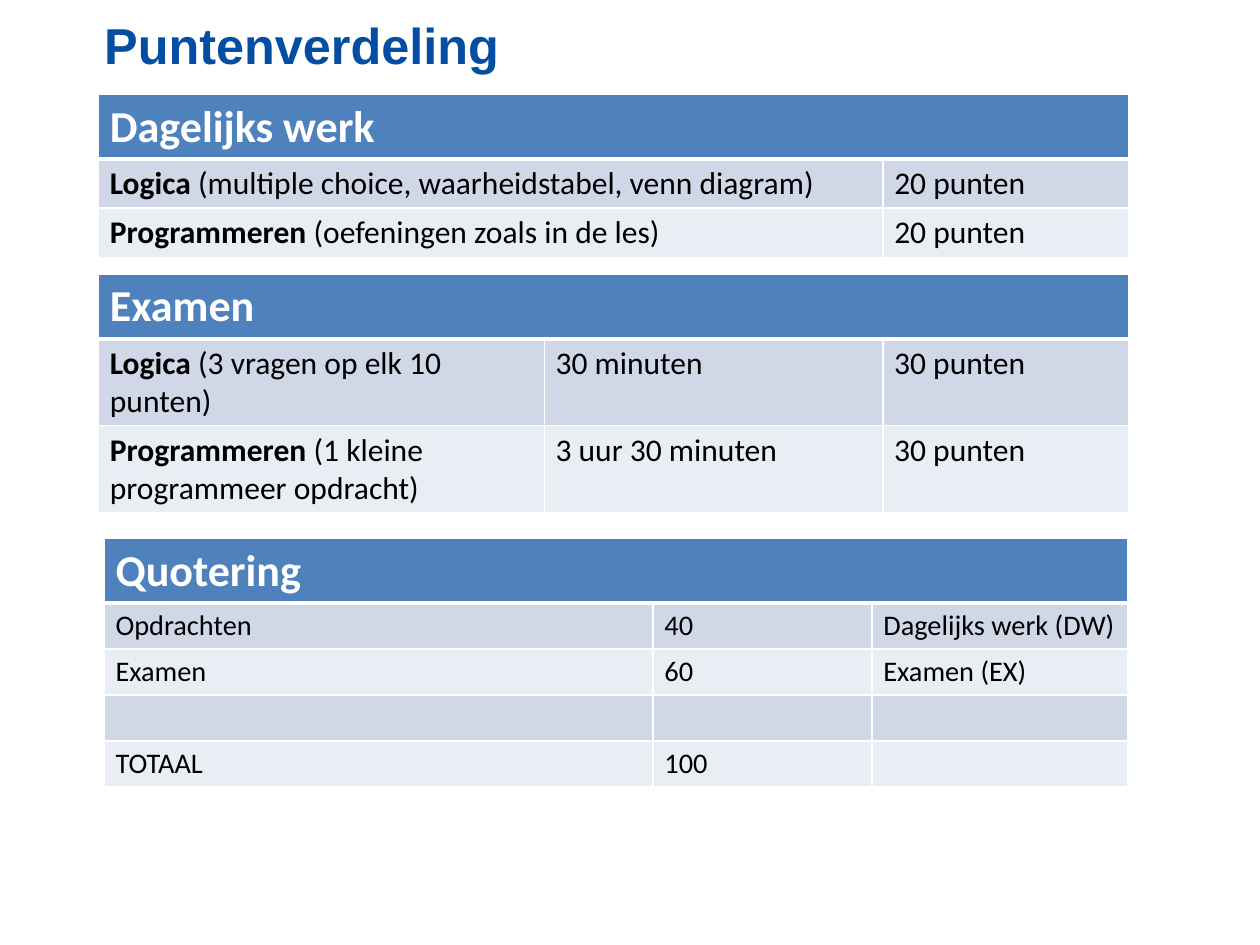
from dataclasses import dataclass

from lxml.etree import SubElement
from pptx import Presentation
from pptx.dml.color import RGBColor as Color
from pptx.oxml import parse_xml
from pptx.oxml.ns import nsdecls, qn
from pptx.util import Pt


@dataclass(frozen=True)
class Theme:
    """Colours, fonts and type sizes of the slide."""
    title: str = "034EA2"
    header: str = "4F81BD"
    bands: tuple = ("D0D8E8", "E9EDF4")
    light: str = "FFFFFF"
    dark: str = "000000"
    title_font: str = "Arial"
    table_font: str = "Calibri"
    title_size: float = 32
    header_size: float = 28
    exam_size: float = 20
    score_size: float = 18
    row_height: float = 29.2
    thin: float = 1
    thick: float = 3


THEME = Theme()


def add_span(para, text, font, size, color, bold=False):
    """Add one styled run to a paragraph."""
    span = para.add_run()
    span.text = text
    span.font.name = font
    span.font.size = Pt(size)
    span.font.color.rgb = Color.from_string(color)
    span.font.bold = bold


def add_title(page, text, left, top, width, height):
    """Place the slide title in the given box."""
    box = page.shapes.add_textbox(Pt(left), Pt(top), Pt(width), Pt(height))
    frame = box.text_frame
    frame.word_wrap = True
    frame.margin_left = frame.margin_right = frame.margin_bottom = 0
    frame.margin_top = Pt(3)
    add_span(frame.paragraphs[0], text, THEME.title_font,
             THEME.title_size, THEME.title, bold=True)


def style_cell(cell, row):
    """Set the fill and the white borders of a cell in the given row."""
    fill = THEME.header if row == 0 else THEME.bands[(row - 1) % 2]
    cell.fill.solid()
    cell.fill.fore_color.rgb = Color.from_string(fill)
    widths = {"lnL": THEME.thin, "lnR": THEME.thin,
              "lnT": THEME.thick if row == 1 else THEME.thin,
              "lnB": THEME.thick if row == 0 else THEME.thin}
    props = cell._tc.get_or_add_tcPr()
    for place, (side, width) in enumerate(widths.items()):
        line = parse_xml(f'<a:{side} {nsdecls("a")} w="{Pt(width)}"/>')
        solid = SubElement(line, qn("a:solidFill"))
        SubElement(solid, qn("a:srgbClr"), val=THEME.light)
        props.insert(place, line)


def add_score_table(page, heading, rows, left, top, widths, size):
    """Place a table with a merged heading; a (bold, plain) pair makes two runs."""
    count = len(rows) + 1
    table = page.shapes.add_table(
        count, len(widths), Pt(left), Pt(top),
        Pt(sum(widths)), Pt(count * THEME.row_height)).table
    for column, width in zip(table.columns, widths):
        column.width = Pt(width)
    for index, row in enumerate(table.rows):
        row.height = Pt(THEME.row_height)
        for cell in row.cells:
            style_cell(cell, index)
    first = table.cell(0, 0)
    first.merge(table.cell(0, len(widths) - 1))
    add_span(first.text_frame.paragraphs[0], heading, THEME.table_font,
             THEME.header_size, THEME.light, bold=True)
    for index, values in enumerate(rows, start=1):
        for column, value in enumerate(values):
            para = table.cell(index, column).text_frame.paragraphs[0]
            para.font.size = Pt(size)
            strong, plain = value if isinstance(value, tuple) else ("", value)
            for text, bold in ((strong, True), (plain, False)):
                if text:
                    add_span(para, text, THEME.table_font, size, THEME.dark, bold)


def build_slide(page):
    """Place the title and the three score tables."""
    add_title(page, "Puntenverdeling", 66.2, 5.8, 684, 36)
    add_score_table(page, "Dagelijks werk", [
        [("Logica", " (multiple choice, waarheidstabel, venn diagram)"), "20 punten"],
        [("Programmeren", " (oefeningen zoals in de les)"), "20 punten"],
    ], 62.6, 60, (498, 156), THEME.exam_size)
    add_score_table(page, "Examen", [
        [("Logica", " (3 vragen op elk 10 punten)"), "30 minuten", "30 punten"],
        [("Programmeren", " (1 kleine programmeer opdracht)"),
         "3 uur 30 minuten", "30 punten"],
    ], 62.6, 174.2, (283, 215, 156), THEME.exam_size)
    add_score_table(page, "Quotering", [
        ["Opdrachten", "40", "Dagelijks werk (DW)"],
        ["Examen", "60", "Examen (EX)"],
        ["", "", ""],
        ["TOTAAL", "100", ""],
    ], 66.2, 342, (348.5, 139, 162.5), THEME.score_size)


def main():
    """Build and save the deck."""
    deck = Presentation()
    deck.slide_width, deck.slide_height = Pt(800), Pt(600)
    build_slide(deck.slides.add_slide(deck.slide_layouts[6]))
    deck.save("out.pptx")


if __name__ == "__main__":
    main()
